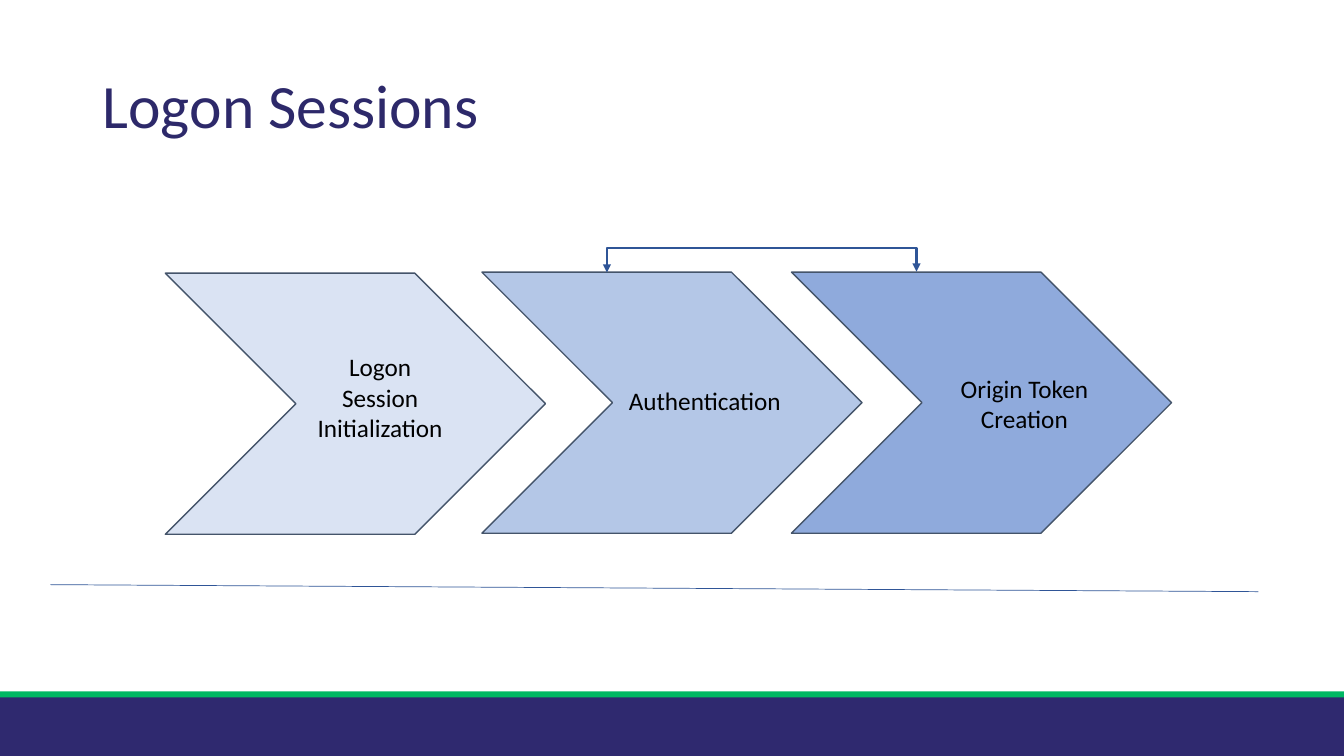
from lxml.etree import SubElement
from pptx import Presentation
from pptx.dml.color import RGBColor
from pptx.enum.shapes import MSO_CONNECTOR, MSO_SHAPE
from pptx.enum.text import MSO_ANCHOR, PP_ALIGN
from pptx.oxml.ns import qn
from pptx.util import Inches, Pt

NAVY, GREEN, TITLE_NAVY = "2F296F", "00B763", "2D296A"
SLATE, BLUE, BLACK = "44546A", "2F5597", "000000"


def color(hex_value):
    return RGBColor.from_string(hex_value)


def add_block(slide, kind, box, fill, outline=None):
    block = slide.shapes.add_shape(kind, *map(Inches, box))
    block.shadow.inherit = False
    block.fill.solid()
    block.fill.fore_color.rgb = color(fill)
    if outline:
        block.line.color.rgb = color(outline)
        block.line.width = Pt(1)
    else:
        block.line.fill.background()
    return block


def add_text(slide, box, lines, size, ink, align, anchor=MSO_ANCHOR.TOP, spacing=1.0):
    frame = slide.shapes.add_textbox(*map(Inches, box)).text_frame
    frame.word_wrap = True
    frame.vertical_anchor = anchor
    frame.text = "\n".join(lines)
    font_format = {"name": "Calibri", "size": Pt(size)}
    for paragraph in frame.paragraphs:
        paragraph.alignment = align
        paragraph.line_spacing = spacing
        for attribute, value in font_format.items():
            setattr(paragraph.font, attribute, value)
        paragraph.font.color.rgb = color(ink)


def add_line(slide, kind, start, end, width):
    line = slide.shapes.add_connector(kind, *map(Inches, start + end))
    line.line.color.rgb = color(BLUE)
    line.line.width = Pt(width)
    SubElement(line._element.spPr, qn("a:effectLst"))
    return line


def add_return_arrow(slide, left, right, y, rise):
    """Two-headed elbow that leaves upwards, crosses over and comes down."""
    # Unrotated, the elbow is a tall thin box around the same centre
    drop, span = 0.01, right - left
    center = (left + right) / 2
    arrow = add_line(slide, MSO_CONNECTOR.ELBOW,
                     (center + drop / 2, y + span / 2),
                     (center - drop / 2, y - span / 2), 1.5)
    properties = arrow._element.spPr
    properties.find(qn("a:xfrm")).set("rot", str(90 * 60000))
    guides = properties.find(qn("a:prstGeom")).find(qn("a:avLst"))
    SubElement(guides, qn("a:gd"), name="adj1", fmla=f"val {round(rise / drop * 100000)}")
    for end in ("a:headEnd", "a:tailEnd"):
        SubElement(arrow.line._ln, qn(end), type="triangle")


def main():
    presentation = Presentation()
    presentation.slide_width = Inches(13.33)
    presentation.slide_height = Inches(7.5)
    slide = presentation.slides.add_slide(presentation.slide_layouts[6])

    # Footer bands
    add_block(slide, MSO_SHAPE.RECTANGLE, (0, 6.9, 13.33, 0.6), NAVY)
    add_block(slide, MSO_SHAPE.RECTANGLE, (0, 6.86, 13.33, 0.06), GREEN)

    # Title
    add_text(slide, (0.92, 0.4, 11.5, 1.36), ["Logon Sessions"], 44, TITLE_NAVY,
             PP_ALIGN.LEFT, MSO_ANCHOR.MIDDLE, 0.9)

    # Process steps: chevron left and top, fill, label box, label lines
    steps = [
        (7.85, 2.7, "8FAADC", (9.17, 3.65, 1.98, 0.71), ["Origin Token Creation"]),
        (4.78, 2.7, "B4C7E7", (6.0, 3.77, 1.98, 0.4), ["Authentication"]),
        (1.64, 2.71, "DAE3F3", (2.78, 3.44, 1.98, 1.31), ["Logon", "Session Initialization"]),
    ]
    for left, top, fill, label_box, label in steps:
        add_block(slide, MSO_SHAPE.CHEVRON, (left, top, 3.77, 2.59), fill, SLATE)
        add_text(slide, label_box, label, 18, BLACK, PP_ALIGN.CENTER)

    # Base line and the arrow between the last two steps
    add_line(slide, MSO_CONNECTOR.STRAIGHT, (0.5, 5.8), (12.48, 5.87), 0.5)
    add_return_arrow(slide, 6.02, 9.09, 2.7, 0.25)

    presentation.save("out.pptx")


if __name__ == "__main__":
    main()
